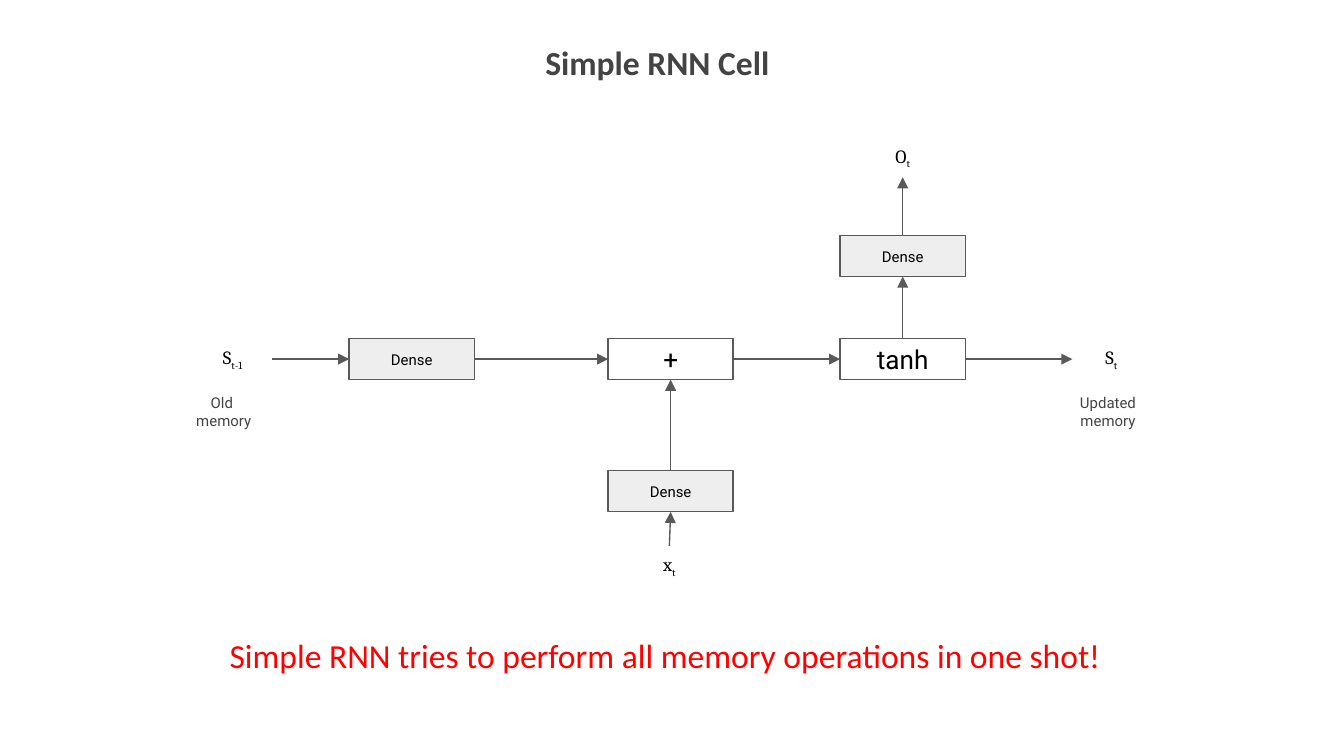
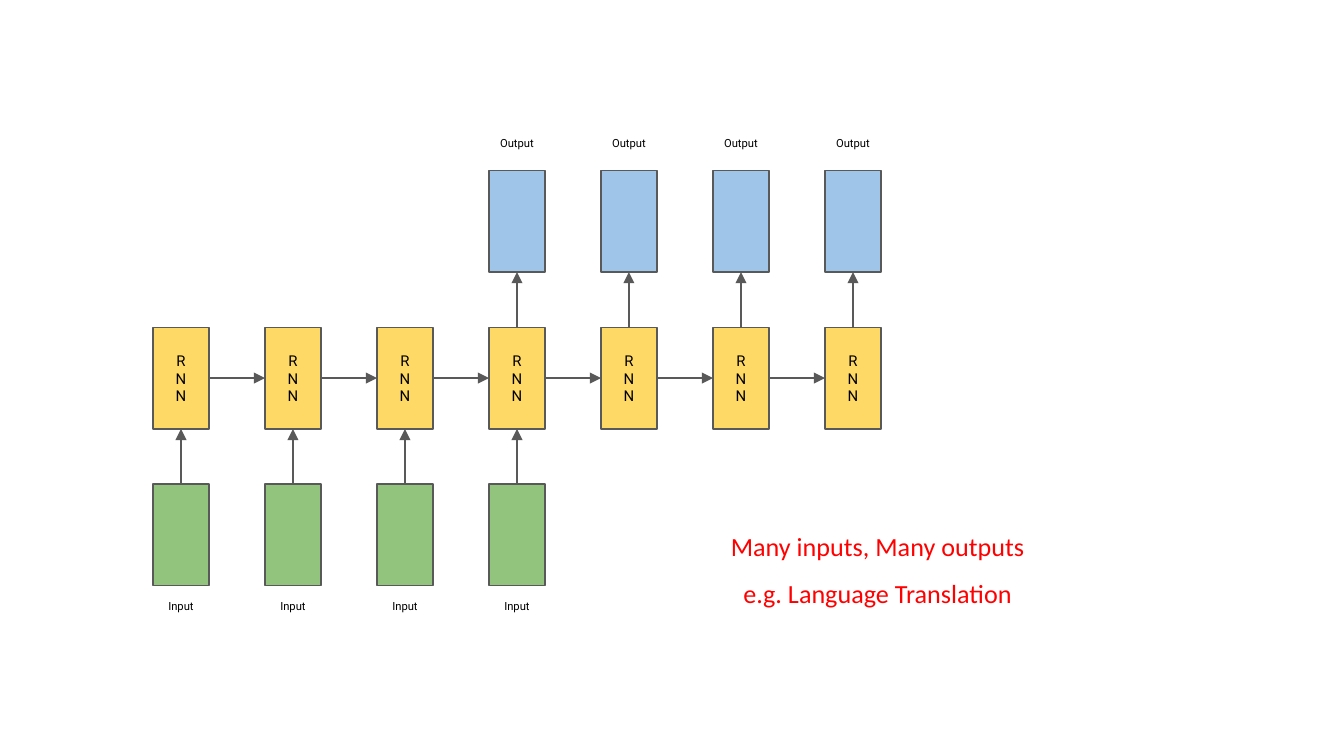
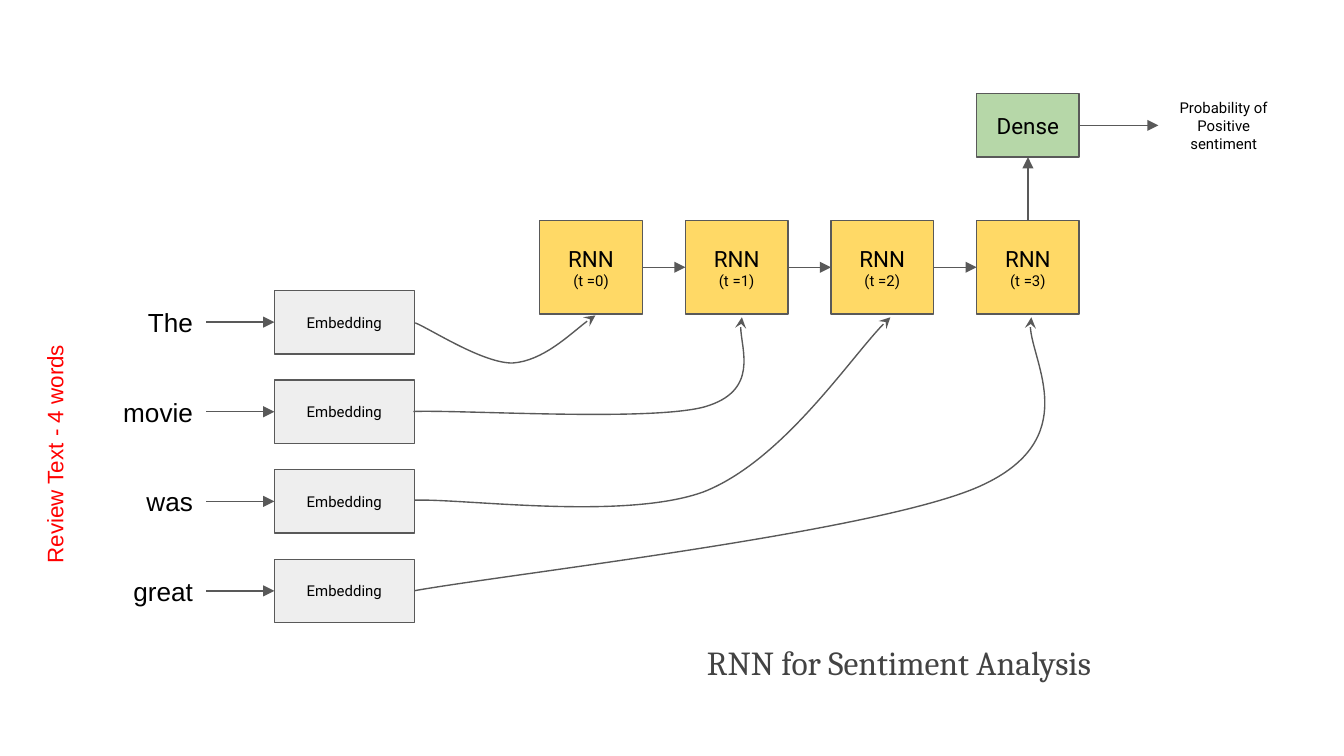
from lxml import etree
from pptx import Presentation
from pptx import util as u
from pptx.dml.color import RGBColor
from pptx.enum import shapes, text
from pptx.oxml.ns import qn

COLORS = {
    "ink": "000000", "heading": "434343", "line": "595959", "accent": "FF0000",
    "dense": "EEEEEE", "rnn": "FFD966", "input": "93C47D",
    "output": "9FC5E8", "classifier": "B6D7A8",
}
TITLE_ONLY, BLANK = 5, 6
TOP, LEFT, BOTTOM, RIGHT = range(4)
CENTER = text.PP_ALIGN.CENTER
MIDDLE = text.MSO_ANCHOR.MIDDLE


def rgb(name):
    return RGBColor.from_string(COLORS[name])


def points(values):
    return [u.Pt(value) for value in values]


def around(x, y, size):
    """Return the box of the given size centred on a point."""
    width, height = size
    return x - width / 2, y - height / 2, width, height


def write(shape, lines, size, font="Roboto", color="ink", align=CENTER,
          anchor=MIDDLE, bold=False):
    """Fill a shape with paragraphs; a line is a string or a tuple of runs."""
    frame = shape.text_frame
    frame.word_wrap = True
    frame.auto_size = text.MSO_AUTO_SIZE.NONE
    frame.vertical_anchor = anchor
    frame.margin_left = frame.margin_right = u.Pt(7.2)
    frame.margin_top = frame.margin_bottom = u.Pt(7.2)
    for index, line in enumerate(lines):
        paragraph = frame.add_paragraph() if index else frame.paragraphs[0]
        for piece in (line,) if isinstance(line, str) else line:
            paragraph.add_run().text = piece
        paragraph.alignment = align
        paragraph.font.size = u.Pt(size)
        paragraph.font.name = font
        paragraph.font.bold = bold
        paragraph.font.color.rgb = rgb(color)


def add_label(slide, box, lines, size, **style):
    label = slide.shapes.add_textbox(*points(box))
    write(label, lines, size, **style)
    return label


def add_symbol(slide, box, letter, index):
    """Add a letter with a subscript."""
    symbol = add_label(slide, box, [(letter, index)], 10, font="Cambria")
    subscript = symbol.element.xpath(".//a:r")[1]
    subscript.get_or_add_rPr().set("baseline", "-25000")
    return symbol


def outline(shape):
    shape.line.color.rgb = rgb("line")
    shape.line.width = u.Pt(0.75)


def add_node(slide, box, fill=None, lines=(), size=8):
    node = slide.shapes.add_shape(shapes.MSO_SHAPE.RECTANGLE, *points(box))
    node.shadow.inherit = False
    if fill:
        node.fill.solid()
        node.fill.fore_color.rgb = rgb(fill)
    else:
        node.fill.background()
    outline(node)
    write(node, lines, size)
    return node


def add_head(shape, kind):
    line = shape.line._get_or_add_ln()
    etree.SubElement(line, qn("a:tailEnd"), type=kind)


def add_arrow(slide, source, source_side, target, target_side):
    arrow = slide.shapes.add_connector(shapes.MSO_CONNECTOR.STRAIGHT, 0, 0, 0, 0)
    arrow.begin_connect(source, source_side)
    arrow.end_connect(target, target_side)
    outline(arrow)
    add_head(arrow, "triangle")
    etree.SubElement(arrow.element.spPr, qn("a:effectLst"))


def add_curve(slide, origin, start, controls):
    """Draw cubic curves; each three controls after the start make one curve."""
    left, top = origin
    start, *controls = [points((left + x, top + y)) for x, y in [start, *controls]]
    builder = slide.shapes.build_freeform(*start)
    builder.add_line_segments(controls, close=False)
    curve = builder.convert_to_shape()
    segments = curve.element.xpath(".//a:lnTo")
    outline_element = segments[0].getparent()
    for first in range(0, len(segments), 3):
        bezier = etree.SubElement(outline_element, qn("a:cubicBezTo"))
        for segment in segments[first:first + 3]:
            bezier.append(segment[0])
            outline_element.remove(segment)
    curve.shadow.inherit = False
    curve.fill.background()
    outline(curve)
    add_head(curve, "stealth")


def add_titled_slide(deck, title, box, font, bold=False):
    slide = deck.slides.add_slide(deck.slide_layouts[TITLE_ONLY])
    heading = slide.shapes.title
    heading.left, heading.top, heading.width, heading.height = points(box)
    write(heading, [title], 18, font=font, color="heading", bold=bold)
    return slide


def draw_cell(slide, left, top):
    """Draw the memory row with its input branch below and output branch above."""
    node, symbol, caption = (67, 22), (41.8, 21.6), (62.6, 27.4)
    old_x, dense_x, sum_x, tanh_x, new_x = (
        left + x for x in (36.6, 132.6, 271.3, 395.6, 507.4))
    output_y, upper_y, memory_y, lower_y, input_y = (
        top + y for y in (11.2, 64.2, 119.4, 190.2, 230.2))

    old = add_symbol(slide, around(old_x, memory_y, symbol), "S", "t-1")
    new = add_symbol(slide, around(new_x, memory_y, symbol), "S", "t")
    output = add_symbol(slide, around(tanh_x, output_y, symbol), "O", "t")
    word = add_symbol(slide, around(sum_x - 0.7, input_y, symbol), "x", "t")
    old_dense, input_dense, output_dense = (
        add_node(slide, around(x, y, node), "dense", ["Dense"])
        for x, y in ((dense_x, memory_y), (sum_x, lower_y), (tanh_x, upper_y)))
    total, tanh = (
        add_node(slide, around(x, memory_y, node), lines=[name], size=14)
        for x, name in ((sum_x, "+"), (tanh_x, "tanh")))

    memory_row = [old, old_dense, total, tanh, new]
    for source, target in zip(memory_row, memory_row[1:]):
        add_arrow(slide, source, RIGHT, target, LEFT)
    for source, target in ((word, input_dense), (input_dense, total),
                           (tanh, output_dense), (output_dense, output)):
        add_arrow(slide, source, TOP, target, BOTTOM)

    for x, lines in ((old_x - 4.7, ["Old ", "memory"]),
                     (new_x - 1.8, ["Updated memory"])):
        add_label(slide, around(x, memory_y + 28, caption), lines, 8,
                  color="heading")


def build_cell_slide(deck):
    slide = add_titled_slide(deck, "Simple RNN Cell ", (68.4, 16.6, 571.7, 33.8),
                             "Calibri", bold=True)
    draw_cell(slide, 88, 73)
    add_label(slide, (72.7, 334.1, 571.7, 33.8),
              ["Simple RNN tries to perform all memory operations in one shot! "],
              18, font="Calibri", color="accent")


def draw_sequence(slide, left, top, steps=7, inputs=4, first_output=3):
    """Draw a chain of RNN steps with inputs below and outputs above."""
    width, height, pitch, row_pitch = 29.9, 54.5, 60, 84
    label_width, label_height = 43.2, 23
    output_top = top + 25.5
    rnn_top, input_top = output_top + row_pitch, output_top + 2 * row_pitch

    def add_step_label(x, y, name):
        label_left = x + (width - label_width) / 2
        add_label(slide, (label_left, y, label_width, label_height), [name], 6,
                  anchor=text.MSO_ANCHOR.TOP)

    previous = None
    for step in range(steps):
        x = left + step * pitch
        rnn = add_node(slide, (x, rnn_top, width, height), "rnn", "RNN")
        if previous:
            add_arrow(slide, previous, RIGHT, rnn, LEFT)
        if step < inputs:
            source = add_node(slide, (x, input_top, width, height), "input")
            add_arrow(slide, source, TOP, rnn, BOTTOM)
            add_step_label(x, input_top + height, "Input")
        if step >= first_output:
            output = add_node(slide, (x, output_top, width, height), "output")
            add_arrow(slide, rnn, TOP, output, BOTTOM)
            add_step_label(x, top, "Output")
        previous = rnn


def build_sequence_slide(deck):
    slide = deck.slides.add_slide(deck.slide_layouts[BLANK])
    draw_sequence(slide, 82, 65.8)
    caption = add_label(
        slide, (351.4, 268.6, 237.6, 55.4),
        ["Many inputs, Many outputs", "e.g. Language Translation"], 14,
        font="Calibri", color="accent", anchor=text.MSO_ANCHOR.TOP)
    for paragraph in caption.text_frame.paragraphs:
        paragraph.line_spacing = 1.5


def draw_embeddings(slide, left, top):
    """Draw each review word beside its embedding."""
    for row, word in enumerate(("The", "movie", "was", "great")):
        y = top + row * 48
        label = add_label(slide, (left, y + 3.5, 54.5, 27), [word], 14,
                          font="Arial", align=text.PP_ALIGN.RIGHT)
        embedding = add_node(slide, (left + 91, y, 75, 34), "dense", ["Embedding"])
        add_arrow(slide, label, RIGHT, embedding, LEFT)


def draw_classifier(slide, left, top):
    """Draw the RNN steps, the dense layer over the last one and its result."""
    width, height, pitch, steps = 55, 50, 78, 4
    previous = None
    for step in range(steps):
        rnn = add_node(slide, (left + step * pitch, top + 68, width, height), "rnn",
                       ["RNN", f"(t ={step})"], 12)
        rnn.text_frame.paragraphs[1].font.size = u.Pt(8)
        if previous:
            add_arrow(slide, previous, RIGHT, rnn, LEFT)
        previous = rnn
    dense = add_node(slide, (left + (steps - 1) * pitch, top, width, 34),
                     "classifier", ["Dense"], 12)
    add_arrow(slide, previous, TOP, dense, BOTTOM)
    result = add_label(slide, (left + 331.4, top + 3.5, 70, 27),
                       ["Probability of Positive sentiment"], 8)
    add_arrow(slide, dense, RIGHT, result, LEFT)


def draw_embedding_paths(slide, left, top):
    """Lead each embedding to the RNN step that reads it."""
    routes = (
        ((0.5, 4), [(9, 7.5), (36.5, 25.5), (52.5, 25.5),
                    (69, 24.5), (90, 4), (97, 0)]),
        ((-0.5, 51.5), [(25, 50.5), (126, 57), (155.5, 49),
                        (185, 40.5), (172, 9), (175.5, 1)]),
        ((0, 99), [(26, 98), (112.5, 110), (155, 94.5),
                   (197, 78), (238, 16), (255, 1)]),
        ((0, 147.5), [(50.5, 138.5), (248.5, 116), (303, 91.5),
                      (358.5, 66.5), (325.5, 16), (330.5, 1)]),
    )
    for start, controls in routes:
        add_curve(slide, (left, top), start, controls)


def build_sentiment_slide(deck):
    slide = add_titled_slide(deck, "RNN for Sentiment Analysis",
                             (343.4, 326.9, 276.5, 55.4), "Cambria")
    draw_embeddings(slide, 56, 155.6)
    draw_classifier(slide, 289.2, 50.2)
    draw_embedding_paths(slide, 222, 169)
    review = add_label(slide, (-46.1, 228.2, 151.9, 30.2),
                       ["Review Text - 4 words"], 12, font="Arial",
                       color="accent", anchor=text.MSO_ANCHOR.TOP)
    review.rotation = 270


def main():
    deck = Presentation()
    deck.slide_width, deck.slide_height = u.Pt(720), u.Pt(405)
    build_cell_slide(deck)
    build_sequence_slide(deck)
    build_sentiment_slide(deck)
    deck.save("out.pptx")


if __name__ == "__main__":
    main()
